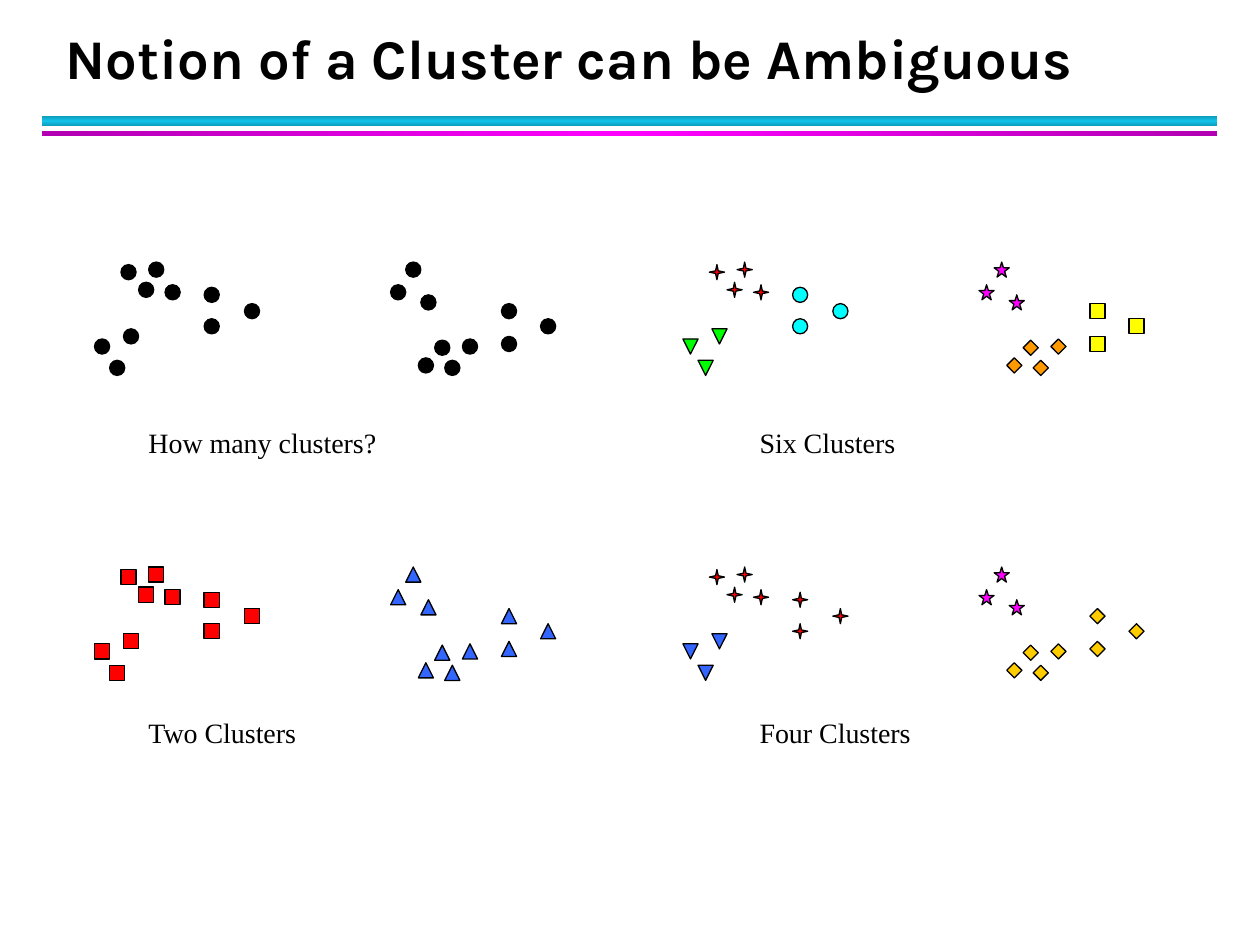
from copy import deepcopy

from pptx import Presentation
from pptx.dml.color import RGBColor
from pptx.enum.shapes import MSO_SHAPE
from pptx.enum.text import MSO_ANCHOR, MSO_AUTO_SIZE, PP_ALIGN
from pptx.oxml.ns import qn
from pptx.util import Inches, Pt

BLACK = RGBColor(0x00, 0x00, 0x00)
RED = RGBColor(0xFF, 0x00, 0x00)
BLUE = RGBColor(0x33, 0x66, 0xFF)
GREEN = RGBColor(0x00, 0xFF, 0x00)
CYAN = RGBColor(0x00, 0xFF, 0xFF)
MAGENTA = RGBColor(0xFF, 0x00, 0xFF)
ORANGE = RGBColor(0xFF, 0x99, 0x00)
GOLD = RGBColor(0xFF, 0xCC, 0x00)
YELLOW = RGBColor(0xFF, 0xFF, 0x00)
TEAL = RGBColor(0x0E, 0x9B, 0xBA)
BRIGHT_TEAL = RGBColor(0x12, 0xC2, 0xE9)
PURPLE = RGBColor(0xB2, 0x00, 0xB2)

TITLE = "Notion of a Cluster can be Ambiguous"
BANDS = [
    (0.92, 0.08, 90, TEAL, BRIGHT_TEAL),
    (1.04, 0.04, 0, PURPLE, MAGENTA),
]

POINTS = {
    "right bottom": [(3.67, 2.69), (3.32, 2.84), (3.53, 2.86), (3.45, 2.70)],
    "right top": [(3.34, 2.34), (3.10, 2.26), (3.22, 2.08)],
    "right side": [(3.98, 2.67), (4.29, 2.53), (3.98, 2.41)],
    "left top": [(1.31, 2.26), (0.96, 2.10), (1.18, 2.08), (1.10, 2.24)],
    "left bottom": [(0.98, 2.61), (0.75, 2.69), (0.87, 2.86)],
    "left side": [(1.62, 2.28), (1.94, 2.41), (1.62, 2.53)],
}

DOT = (MSO_SHAPE.OVAL, BLACK)
SQUARE = (MSO_SHAPE.RECTANGLE, RED)
TRIANGLE = (MSO_SHAPE.ISOSCELES_TRIANGLE, BLUE)
SPARK = (MSO_SHAPE.STAR_4_POINT, RED)
STAR = (MSO_SHAPE.STAR_5_POINT, MAGENTA)
GOLD_DIAMOND = (MSO_SHAPE.DIAMOND, GOLD)

PANELS = [
    ("How many clusters?", 0, 0, [DOT] * 6),
    ("Six Clusters", 1, 0, [
        (MSO_SHAPE.DIAMOND, ORANGE), STAR, (MSO_SHAPE.RECTANGLE, YELLOW),
        SPARK, (MSO_SHAPE.FLOWCHART_MERGE, GREEN), (MSO_SHAPE.OVAL, CYAN)]),
    ("Two Clusters", 0, 1, [TRIANGLE] * 3 + [SQUARE] * 3),
    ("Four Clusters", 1, 1, [
        GOLD_DIAMOND, STAR, GOLD_DIAMOND,
        SPARK, (MSO_SHAPE.FLOWCHART_MERGE, BLUE), SPARK]),
]

MARKER_SIZE = 0.12
PANEL_STEP = (4.67, 2.42)
CAPTION_START = (1.08, 3.33)
CAPTION_STEP = (4.85, 2.3)


def add_title(slide):
    title = slide.shapes.title
    title.left, title.top = Inches(0.42), Inches(0.17)
    title.width, title.height = Inches(9.06), Inches(0.6)
    frame = title.text_frame
    frame.text = TITLE
    frame.word_wrap = True
    frame.auto_size = MSO_AUTO_SIZE.NONE
    frame.vertical_anchor = MSO_ANCHOR.BOTTOM
    paragraph = frame.paragraphs[0]
    paragraph.alignment = PP_ALIGN.LEFT
    paragraph.line_spacing = Pt(36)
    set_font(paragraph, "Karla", 32, True)


def set_font(paragraph, name, size, bold=False):
    paragraph.font.name = name
    paragraph.font.size = Pt(size)
    paragraph.font.bold = bold
    paragraph.font.color.rgb = BLACK


def add_band(slide, top, height, angle, edge, middle):
    band = slide.shapes.add_shape(
        MSO_SHAPE.RECTANGLE, Inches(0.33), Inches(top), Inches(9.33), Inches(height))
    band.shadow.inherit = False
    band.line.fill.background()
    band.fill.gradient()
    band.fill.gradient_angle = angle
    stop_list = band.element.spPr.find(qn("a:gradFill")).find(qn("a:gsLst"))
    stop_list.append(deepcopy(stop_list[0]))
    for stop, position, color in zip(
            band.fill.gradient_stops, (0, 0.5, 1), (edge, middle, edge)):
        stop.position = position
        stop.color.rgb = color


def add_marker(group, kind, color, left, top):
    marker = group.shapes.add_shape(
        kind, Inches(left), Inches(top), Inches(MARKER_SIZE), Inches(MARKER_SIZE))
    if kind == MSO_SHAPE.STAR_4_POINT:
        marker.adjustments[0] = 0.125
    marker.shadow.inherit = False
    marker.fill.solid()
    marker.fill.fore_color.rgb = color
    marker.line.color.rgb = BLACK
    marker.line.width = Pt(0.75)


def add_panel(slide, caption, column, row, styles):
    group = slide.shapes.add_group_shape()
    for (kind, color), points in zip(styles, POINTS.values()):
        for x, y in points:
            add_marker(group, kind, color,
                       x + column * PANEL_STEP[0], y + row * PANEL_STEP[1])
    box = group.shapes.add_textbox(
        Inches(CAPTION_START[0] + column * CAPTION_STEP[0]),
        Inches(CAPTION_START[1] + row * CAPTION_STEP[1]),
        Inches(2.5), Inches(0.37))
    frame = box.text_frame
    frame.word_wrap = True
    frame.auto_size = MSO_AUTO_SIZE.SHAPE_TO_FIT_TEXT
    frame.text = caption
    set_font(frame.paragraphs[0], "Times New Roman", 16)


def main():
    presentation = Presentation()
    presentation.slide_width, presentation.slide_height = Inches(10), Inches(7.5)
    slide = presentation.slides.add_slide(presentation.slide_layouts[5])
    for band in BANDS:
        add_band(slide, *band)
    add_title(slide)
    for panel in PANELS:
        add_panel(slide, *panel)
    presentation.save("out.pptx")


if __name__ == "__main__":
    main()
